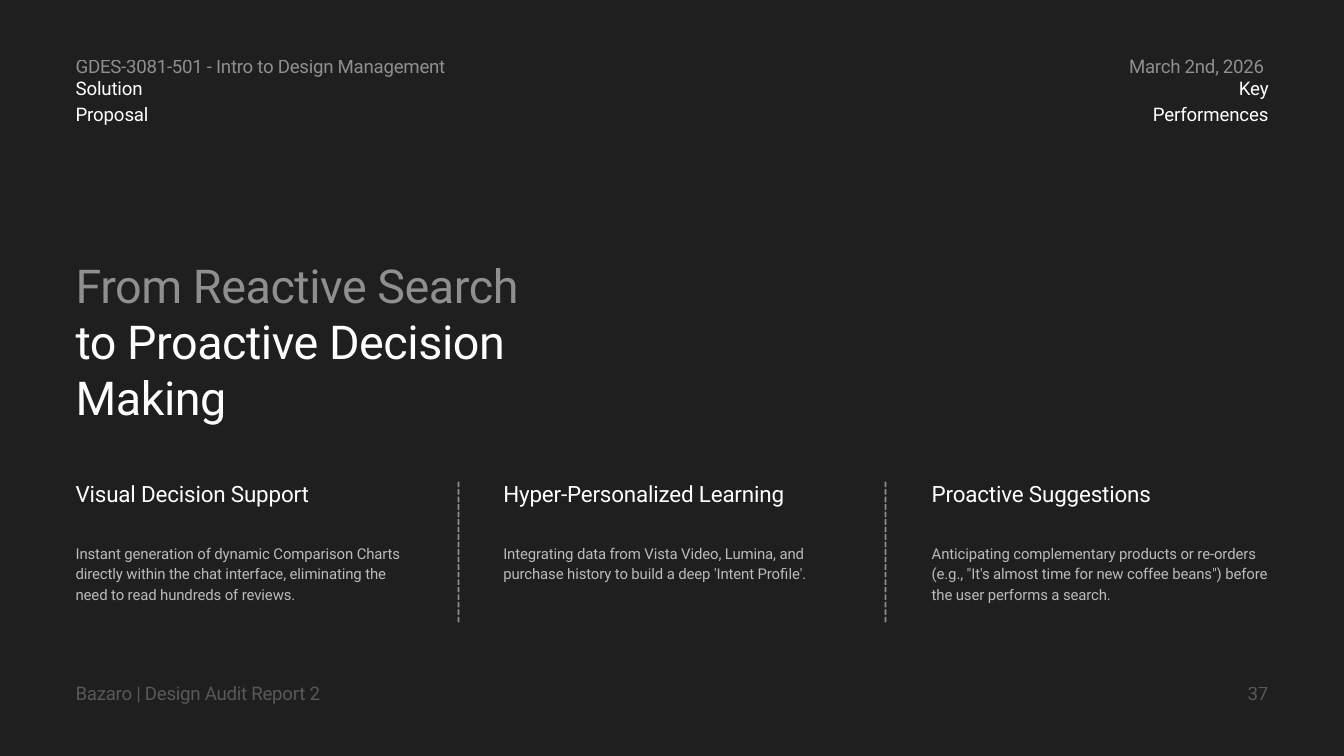
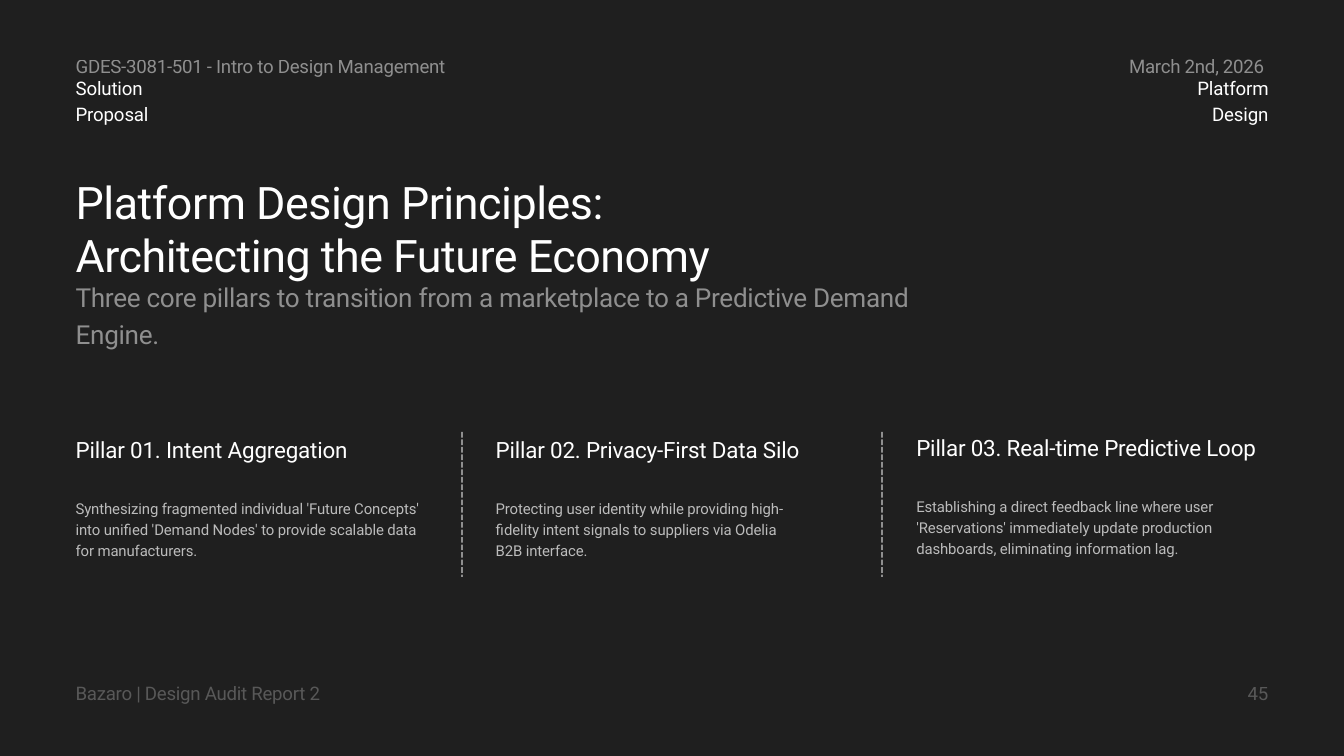
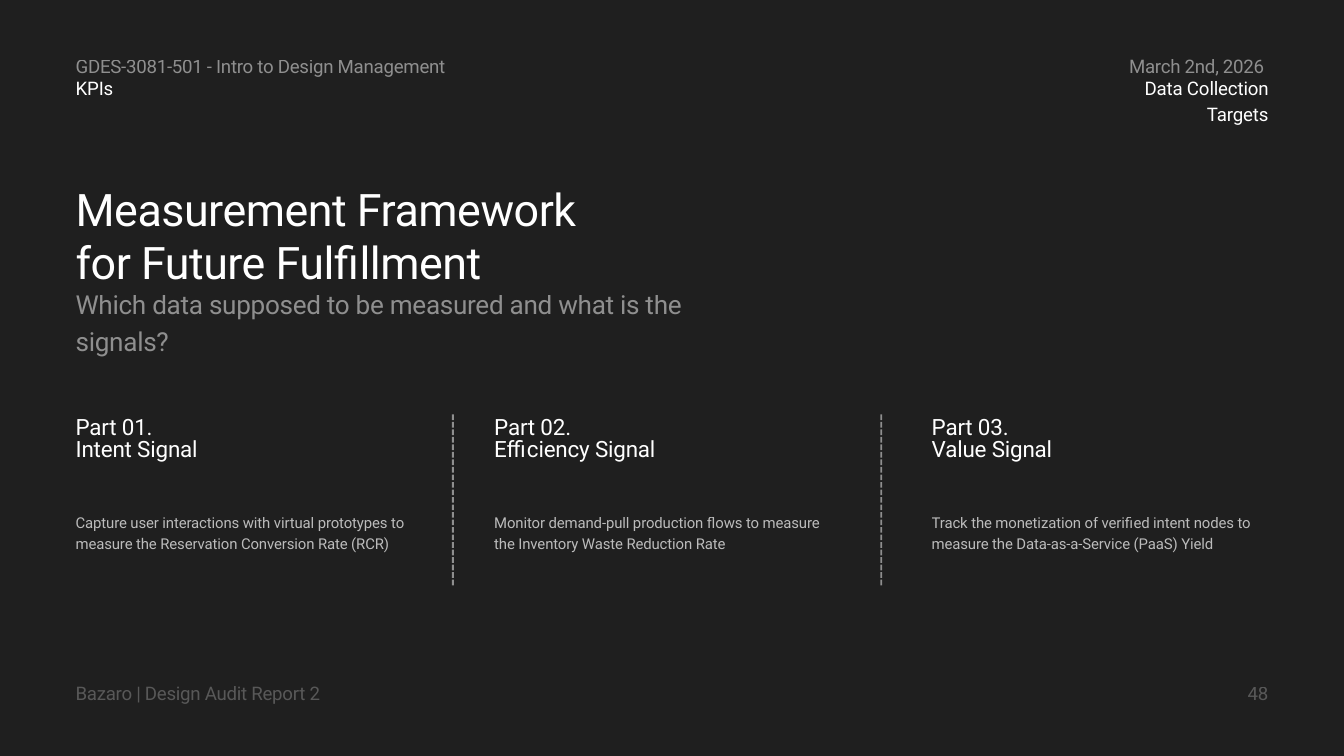
from dataclasses import dataclass

from lxml import etree
from pptx import Presentation
from pptx.dml.color import RGBColor
from pptx.enum.dml import MSO_LINE
from pptx.enum.shapes import MSO_CONNECTOR
from pptx.enum.text import MSO_ANCHOR, MSO_AUTO_SIZE, PP_ALIGN
from pptx.oxml.ns import qn
from pptx.util import Pt

PX = 9525
PAGE_WIDTH, PAGE_HEIGHT = 1920, 1080
MARGIN = 108
BAND_WIDTH = 791
RIGHT = PAGE_WIDTH - MARGIN

DARK = RGBColor(0x1F, 0x1F, 0x1F)
WHITE = RGBColor(0xFF, 0xFF, 0xFF)
FONT = "Roboto"

LEFT_ALIGN, RIGHT_ALIGN = PP_ALIGN.LEFT, PP_ALIGN.RIGHT
TOP_ANCHOR = MSO_ANCHOR.TOP
FIT_SHAPE = MSO_AUTO_SIZE.SHAPE_TO_FIT_TEXT
STRAIGHT = MSO_CONNECTOR.STRAIGHT
SHORT_DASH = MSO_LINE.SQUARE_DOT

TITLE_SUBTITLE_LAYOUT, TITLE_LAYOUT = 0, 5


@dataclass
class Style:
    size: int
    leading: float
    tracking: int
    opacity: int = 100


@dataclass
class Column:
    left: int
    top: int
    width: int
    heading: str
    body: str


BAND = Style(20, 28, -30, 50)
SECTION = Style(20, 28, -20)
FOOTER = Style(20, 28, -30, 25)
LARGE_TITLE = Style(50, 60, -50)
TITLE = Style(48, 57.6, -50)
SUBTITLE = Style(28, 39.2, -30, 50)
HEADING = Style(24, 33.6, -20)
TIGHT_HEADING = Style(24, 24, -20)
BODY = Style(16, 22.4, -10, 70)


def set_opacity(parent, percent):
    color = parent.find(f".//{qn('a:srgbClr')}")
    etree.SubElement(color, qn("a:alpha"), val=str(percent * 1000))


def format_para(para, style, align):
    para.alignment = align
    para.line_spacing = Pt(style.leading)
    para.space_before = Pt(0)
    for span in para.runs:
        span.font.name = FONT
        span.font.size = Pt(style.size)
        span.font.color.rgb = WHITE
        properties = span._r.get_or_add_rPr()
        properties.set("spc", str(style.tracking))
        if style.opacity < 100:
            set_opacity(properties, style.opacity)


def fill_box(box, text, style, align=LEFT_ALIGN):
    frame = box.text_frame
    frame.text = text
    frame.word_wrap = True
    frame.auto_size = FIT_SHAPE
    frame.vertical_anchor = TOP_ANCHOR
    frame.margin_left = frame.margin_top = frame.margin_right = frame.margin_bottom = 0
    for para in frame.paragraphs:
        format_para(para, style, align)


def add_text(page, left, top, width, height, text, style, align=LEFT_ALIGN):
    box = page.shapes.add_textbox(left * PX, top * PX, width * PX, height * PX)
    fill_box(box, text, style, align)


def fill_placeholder(box, top, width, height, text, style):
    box.left, box.top = MARGIN * PX, top * PX
    box.width, box.height = width * PX, height * PX
    fill_box(box, text, style)


def add_band(page, top, left_text, right_text, style):
    add_text(page, MARGIN, top, BAND_WIDTH, 35, left_text, style)
    add_text(page, RIGHT - BAND_WIDTH, top, BAND_WIDTH, 35, right_text, style, RIGHT_ALIGN)


def add_page(deck, layout, section, topic, topic_width, number):
    page = deck.slides.add_slide(deck.slide_layouts[layout])
    add_band(page, 73, "GDES-3081-501 - Intro to Design Management", "March 2nd, 2026 ", BAND)
    add_text(page, MARGIN, 104, 190, 35, section, SECTION)
    add_text(page, RIGHT - topic_width, 104, topic_width, 35, topic, SECTION, RIGHT_ALIGN)
    add_band(page, 969, "Bazaro | Design Audit Report 2", number, FOOTER)
    return page


def add_title(page, top, text, subtitle, subtitle_width):
    fill_placeholder(page.shapes.title, top, 1178, 152, text, TITLE)
    fill_placeholder(page.placeholders[1], top + 146, subtitle_width, 51, subtitle, SUBTITLE)


def add_columns(page, columns, heading_style, body_gap):
    for column in columns:
        add_text(page, column.left, column.top, 500, 40, column.heading, heading_style)
        add_text(page, column.left, column.top + body_gap, column.width, 85, column.body, BODY)


def add_dividers(page, lefts, top, bottom):
    for left in lefts:
        divider = page.shapes.add_connector(STRAIGHT, left * PX, top * PX, left * PX, bottom * PX)
        divider.line.color.rgb = WHITE
        divider.line.width = Pt(2)
        divider.line.dash_style = SHORT_DASH
        properties = divider._element.spPr
        set_opacity(properties, 50)
        etree.SubElement(properties, qn("a:effectLst"))


def build_performances(deck):
    page = add_page(deck, TITLE_LAYOUT, "Solution Proposal", "Key Performences", 200, "37")
    title = page.shapes.title
    fill_placeholder(title, 367, 820, 160,
                     "From Reactive Search\nto Proactive Decision Making", LARGE_TITLE)
    set_opacity(title.text_frame.paragraphs[0].runs[0]._r, 50)
    add_columns(page, [
        Column(MARGIN, 680, 481, "Visual Decision Support",
               "Instant generation of dynamic Comparison Charts directly within the chat "
               "interface, eliminating the need to read hundreds of reviews."),
        Column(719, 680, 481, "Hyper-Personalized Learning",
               "Integrating data from Vista Video, Lumina, and purchase history to build "
               "a deep 'Intent Profile'."),
        Column(1331, 680, 481, "Proactive Suggestions",
               "Anticipating complementary products or re-orders (e.g., \"It's almost time "
               "for new coffee beans\") before the user performs a search."),
    ], HEADING, 93)
    add_dividers(page, [655, 1265], 688, 889)


def build_principles(deck):
    page = add_page(deck, TITLE_SUBTITLE_LAYOUT, "Solution Proposal", "Platform Design", 176, "45")
    add_title(page, 249, "Platform Design Principles:\nArchitecting the Future Economy",
              "Three core pillars to transition from a marketplace to a Predictive Demand Engine.",
              1280)
    add_columns(page, [
        Column(MARGIN, 616, 502, "Pillar 01. Intent Aggregation",
               "Synthesizing fragmented individual 'Future Concepts' into unified "
               "'Demand Nodes' to provide scalable data for manufacturers."),
        Column(708, 616, 426, "Pillar 02. Privacy-First Data Silo",
               "Protecting user identity while providing high-fidelity intent signals "
               "to suppliers via Odelia B2B interface."),
        Column(1309, 614, 481, "Pillar 03. Real-time Predictive Loop",
               "Establishing a direct feedback line where user 'Reservations' immediately "
               "update production dashboards, eliminating information lag."),
    ], HEADING, 93)
    add_dividers(page, [660, 1260], 617, 824)


def build_measurement(deck):
    page = add_page(deck, TITLE_SUBTITLE_LAYOUT, "KPIs", "Data Collection Targets", 250, "48")
    add_title(page, 259, "Measurement Framework\nfor Future Fulfillment",
              "Which data supposed to be measured and what is the signals?", 990)
    add_columns(page, [
        Column(MARGIN, 596, 481, "Part 01.\nIntent Signal",
               "Capture user interactions with virtual prototypes to measure the "
               "Reservation Conversion Rate (RCR)"),
        Column(706, 596, 481, "Part 02.\nEfficiency Signal",
               "Monitor demand-pull production flows to measure the "
               "Inventory Waste Reduction Rate"),
        Column(1331, 596, 481, "Part 03.\nValue Signal",
               "Track the monetization of verified intent nodes to measure the "
               "Data-as-a-Service (PaaS) Yield"),
    ], TIGHT_HEADING, 134)
    add_dividers(page, [647, 1259], 592, 837)


def main():
    deck = Presentation()
    deck.slide_width, deck.slide_height = PAGE_WIDTH * PX, PAGE_HEIGHT * PX
    background = deck.slide_master.background.fill
    background.solid()
    background.fore_color.rgb = DARK
    build_performances(deck)
    build_principles(deck)
    build_measurement(deck)
    deck.save("out.pptx")


if __name__ == "__main__":
    main()
